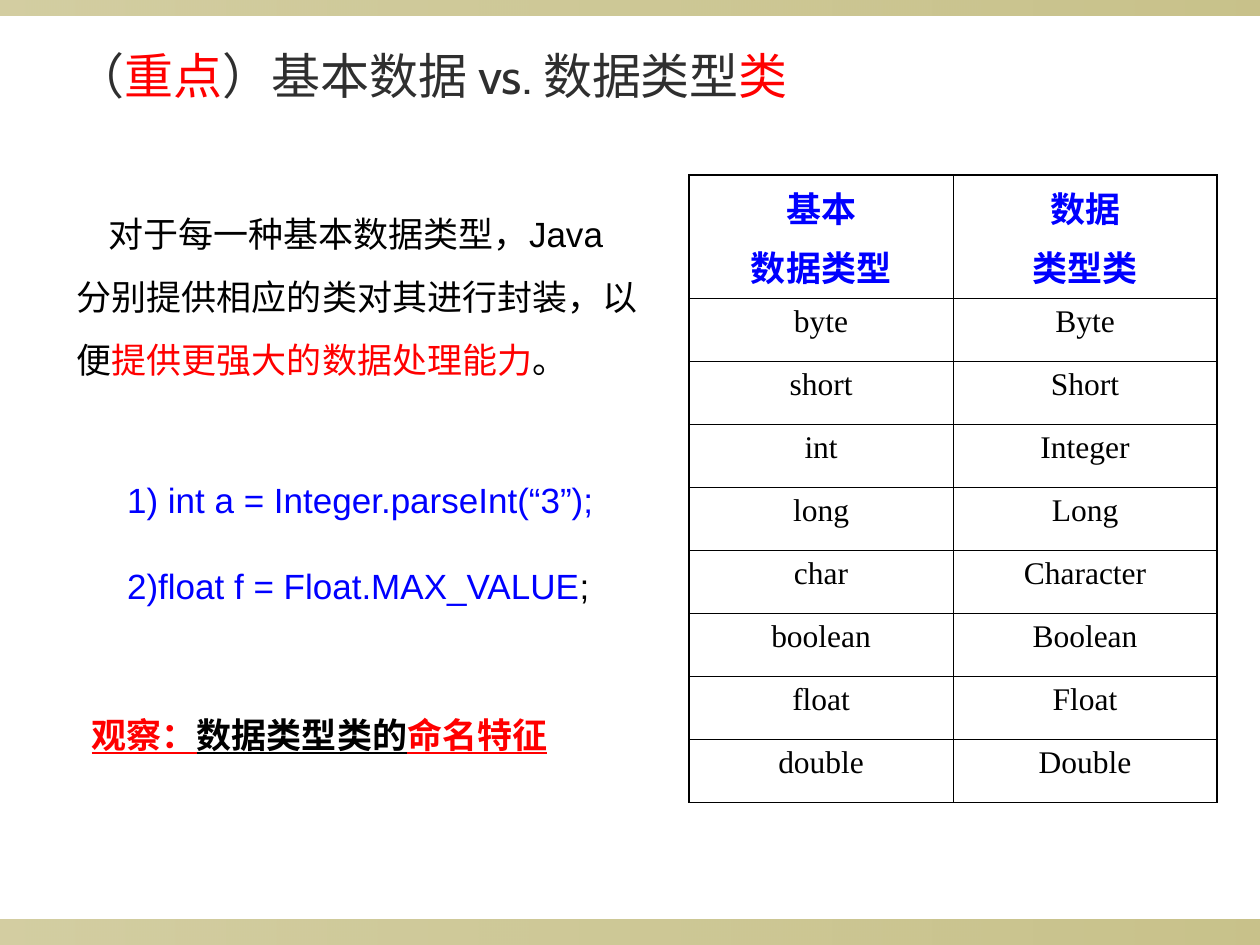
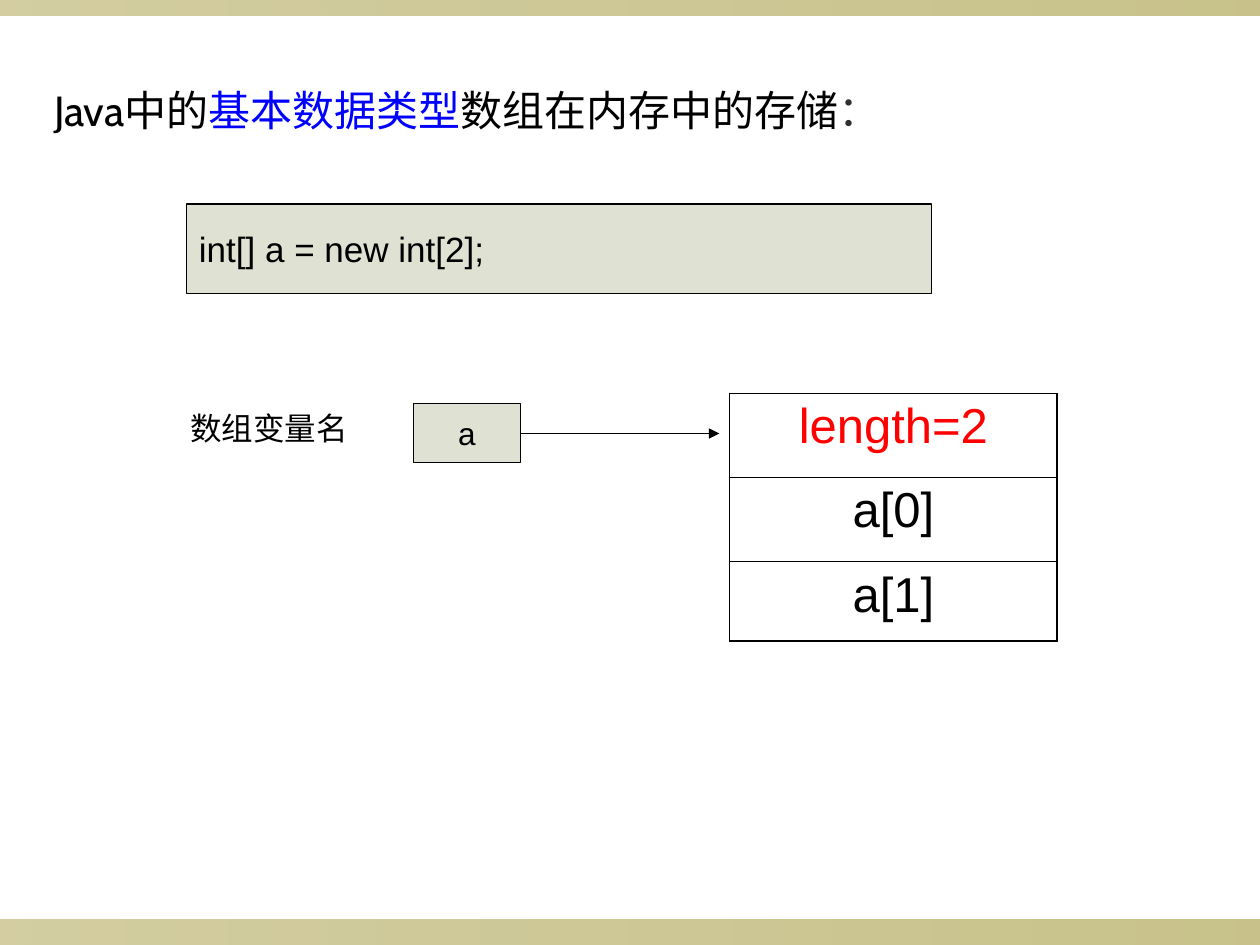
from collections import namedtuple
from dataclasses import dataclass
from lxml.etree import SubElement
from pptx import Presentation
from pptx.dml.color import RGBColor
from pptx.enum.dml import MSO_THEME_COLOR
from pptx.enum.shapes import MSO_CONNECTOR, MSO_SHAPE
from pptx.enum.text import MSO_ANCHOR, MSO_AUTO_SIZE, PP_ALIGN
from pptx.oxml.ns import qn
from pptx.util import Pt

Box = namedtuple("Box", "x y w h")


@dataclass(frozen=True)
class Theme:
    black: str = "000000"
    ink: str = "2F2F2F"
    red: str = "FF0000"
    blue: str = "0000FF"
    sage: str = "DFE1D3"
    olive: str = "918415"
    head: str = "Cabin"
    body: str = "Arial"
    serif: str = "Times New Roman"
    huge: int = 28
    large: int = 24
    text: int = 20
    small: int = 18
    thin: float = 0.45
    line: float = 0.75
    thick: float = 1.08


T = Theme()
WIDE, HIGH = 720, 540
LEFT, MID = PP_ALIGN.LEFT, PP_ALIGN.CENTER


def assign(obj, values):
    for key, value in values.items():
        setattr(obj, key, value)


def pts(box):
    return [Pt(v) for v in box]


def write(frame, paras, size, face=T.body, align=LEFT, gap=0, lead=None,
          **style):
    """Fill a frame with paragraphs, each a list of (text, colour) runs."""
    for i, runs in enumerate(paras):
        para = frame.paragraphs[0] if i == 0 else frame.add_paragraph()
        assign(para, {"alignment": align, "line_spacing": lead,
                      "space_before": Pt(gap if i else 0)})
        for text, color in runs:
            run = para.add_run()
            run.text = text
            assign(run.font, {"size": Pt(size), "name": face, **style})
            run.font.color.rgb = RGBColor.from_string(color)


def label(slide, box, paras, size=T.text, wrap=True, **style):
    frame = slide.shapes.add_textbox(*pts(box)).text_frame
    assign(frame, {"word_wrap": wrap,
                   "auto_size": MSO_AUTO_SIZE.SHAPE_TO_FIT_TEXT})
    write(frame, paras, size, **style)
    return frame


def panel(slide, box, text, size, align=LEFT):
    """Draw a filled, outlined rectangle with one line of text."""
    shape = slide.shapes.add_shape(MSO_SHAPE.RECTANGLE, *pts(box))
    shape.shadow.inherit = False
    shape.fill.solid()
    shape.fill.fore_color.rgb = RGBColor.from_string(T.sage)
    shape.line.color.rgb = RGBColor.from_string(T.black)
    shape.line.width = Pt(T.line)
    assign(shape.text_frame, {"word_wrap": False,
                              "vertical_anchor": MSO_ANCHOR.MIDDLE})
    write(shape.text_frame, [[(text, T.black)]], size, align=align)


def arrow(slide, x, y, length):
    link = slide.shapes.add_connector(
        MSO_CONNECTOR.STRAIGHT, *pts((x, y, x + length, y)))
    link.line.color.rgb = RGBColor.from_string(T.black)
    link.line.width = Pt(T.line)
    SubElement(link.line._get_or_add_ln(), qn("a:tailEnd"), type="triangle")
    SubElement(link.element.spPr, qn("a:effectLst"))


def edge(cell, widths):
    """Set the four cell borders, given widths for L, R, T and B."""
    props = cell._tc.get_or_add_tcPr()
    for i, (side, width) in enumerate(widths.items()):
        line = SubElement(props, qn("a:ln" + side), w=str(Pt(width)))
        fill = SubElement(line, qn("a:solidFill"))
        SubElement(fill, qn("a:srgbClr"), val=T.black)
        props.insert(i, line)


def grid(slide, x, y, cols, rows, cells, rim):
    """Add a table; rim names the outer sides that get the thick line."""
    table = slide.shapes.add_table(
        len(rows), len(cols), *pts((x, y, sum(cols), sum(rows)))).table
    assign(table, {"first_row": False, "horz_banding": False})
    for col, width in zip(table.columns, cols):
        col.width = Pt(width)
    for row, height in zip(table.rows, rows):
        row.height = Pt(height)
    for r, line in enumerate(cells):
        for c, form in enumerate(line):
            cell = table.cell(r, c)
            cell.fill.background()
            outer = {"L": c == 0, "R": c == len(cols) - 1,
                     "T": r == 0, "B": r == len(rows) - 1}
            edge(cell, {side: T.thick if out and side in rim else T.thin
                        for side, out in outer.items()})
            write(cell.text_frame, align=MID, **form)


def title(slide, box, runs, size):
    shape = slide.shapes.title
    assign(shape, dict(zip(("left", "top", "width", "height"), pts(box))))
    assign(shape.text_frame, {"vertical_anchor": MSO_ANCHOR.MIDDLE,
                              "word_wrap": True,
                              "auto_size": MSO_AUTO_SIZE.NONE})
    write(shape.text_frame, [runs], size, T.head)


def bands(slide, master):
    """Draw the top and bottom bands and move them to the master."""
    for box in Box(0, 525.6, WIDE, 14.4), Box(0, 0, WIDE, 8.64):
        band = slide.shapes.add_shape(MSO_SHAPE.RECTANGLE, *pts(box))
        band.shadow.inherit = False
        band.line.fill.background()
        band.fill.gradient()
        band.fill.gradient_angle = 0
        for stop, alpha in zip(band.fill.gradient_stops, (40, 50)):
            stop.color.theme_color = MSO_THEME_COLOR.ACCENT_1
            stop.color.rgb = RGBColor.from_string(T.olive)
        colors = band.element.spPr.iter(qn("a:srgbClr"))
        for color, alpha in zip(list(colors), (40, 50)):
            SubElement(color, qn("a:alpha"), val=str(alpha * 1000))
        master.shapes.element.insert(2, band.element)


def prose(slide, box):
    """Place the explanation, the code samples and the closing remark."""
    intro = label(slide, Box(box.x, box.y, box.w, 115.2), [[
        ("对于每一种基本数据类型，Java分别提供相应的类对其进行封装，以便", T.black),
        ("提供更强大的数据处理能力", T.red), ("。", T.black)]], lead=1.5)
    intro.paragraphs[0]._p.get_or_add_pPr().set("indent", str(Pt(18)))
    label(slide, Box(box.x + 28.8, box.y + 164.2, 282.2, 79.2), [
        [("1) int a = Integer.parseInt(“3”);", T.blue)],
        [("2)float f = Float.MAX_VALUE", T.blue), (";", T.black)]],
        wrap=False, gap=25)
    label(slide, Box(box.x + 8.6, box.y + 298.1, 314.6, 31.7), [[
        ("观察：", T.red), ("数据类型类的", T.black), ("命名特征", T.red)]],
        bold=True, underline=True)


def types(slide, box):
    """Place the table that pairs each basic type with its class."""
    heads = ("基本", "数据类型"), ("数据", "类型类")
    names = ("byte", "short", "int", "long", "char", "boolean", "float",
             "double")
    full = {"int": "Integer", "char": "Character"}
    cells = [[dict(paras=[[(part, T.blue)] for part in head], size=T.text,
                   face=T.serif, gap=5, bold=True) for head in heads]]
    for name in names:
        pair = name, full.get(name, name.capitalize())
        cells.append([dict(paras=[[(word, T.black)]], size=T.small,
                           face=T.serif) for word in pair])
    rows = [box.h - 36 * len(names)] + [36] * len(names)
    grid(slide, box.x, box.y, [box.w / 2] * 2, rows, cells, "LTR")


def memory(slide, box):
    """Place the variable, its arrow and the array cells."""
    label(slide, Box(box.x, box.y + 5.8, 108.7, 28.8),
          [[("数组变量名", T.black)]], size=T.small)
    var = Box(box.x + 134.7, box.y + 5.8, 61.2, 33.8)
    panel(slide, var, "a", T.small, MID)
    arrow(slide, var.x + var.w, var.y + var.h / 2 + 0.4, 113.7)
    slots = ("length=2", T.red), ("a[0]", T.black), ("a[1]", T.black)
    cells = [[dict(paras=[[slot]], size=T.huge)] for slot in slots]
    wide = 187.2
    grid(slide, box.x + box.w - wide, box.y, [wide], [48.2, 48.2, 45.4],
         cells, "LRB")


def wrappers(slide):
    title(slide, Box(36, 15.1, 435.6, 55.4), [
        ("（", T.ink), ("重点", T.red), ("）基本数据 vs. 数据类型", T.ink),
        ("类", T.red)], T.huge)
    types(slide, Box(393.8, 100.1, 301.7, 356.4))
    prose(slide, Box(36.7, 105.8, 334.8, 329.8))


def storage(slide):
    title(slide, Box(23.8, 29.5, 648, 66.2), [
        ("Java中的", T.black), ("基本数据类型", T.blue),
        ("数组在内存中的存储", T.black), ("：", T.ink)], T.large)
    panel(slide, Box(106.6, 116.6, 425.5, 51.1), "int[] a = new int[2];",
          T.text)
    memory(slide, Box(101.5, 224.6, 502.6, 141.8))


def main():
    deck = Presentation()
    assign(deck, {"slide_width": Pt(WIDE), "slide_height": Pt(HIGH)})
    only = deck.slide_layouts.get_by_name("Title Only")
    first, second = (deck.slides.add_slide(only) for _ in range(2))
    bands(first, deck.slide_master)
    wrappers(first)
    storage(second)
    deck.save("out.pptx")


if __name__ == "__main__":
    main()
